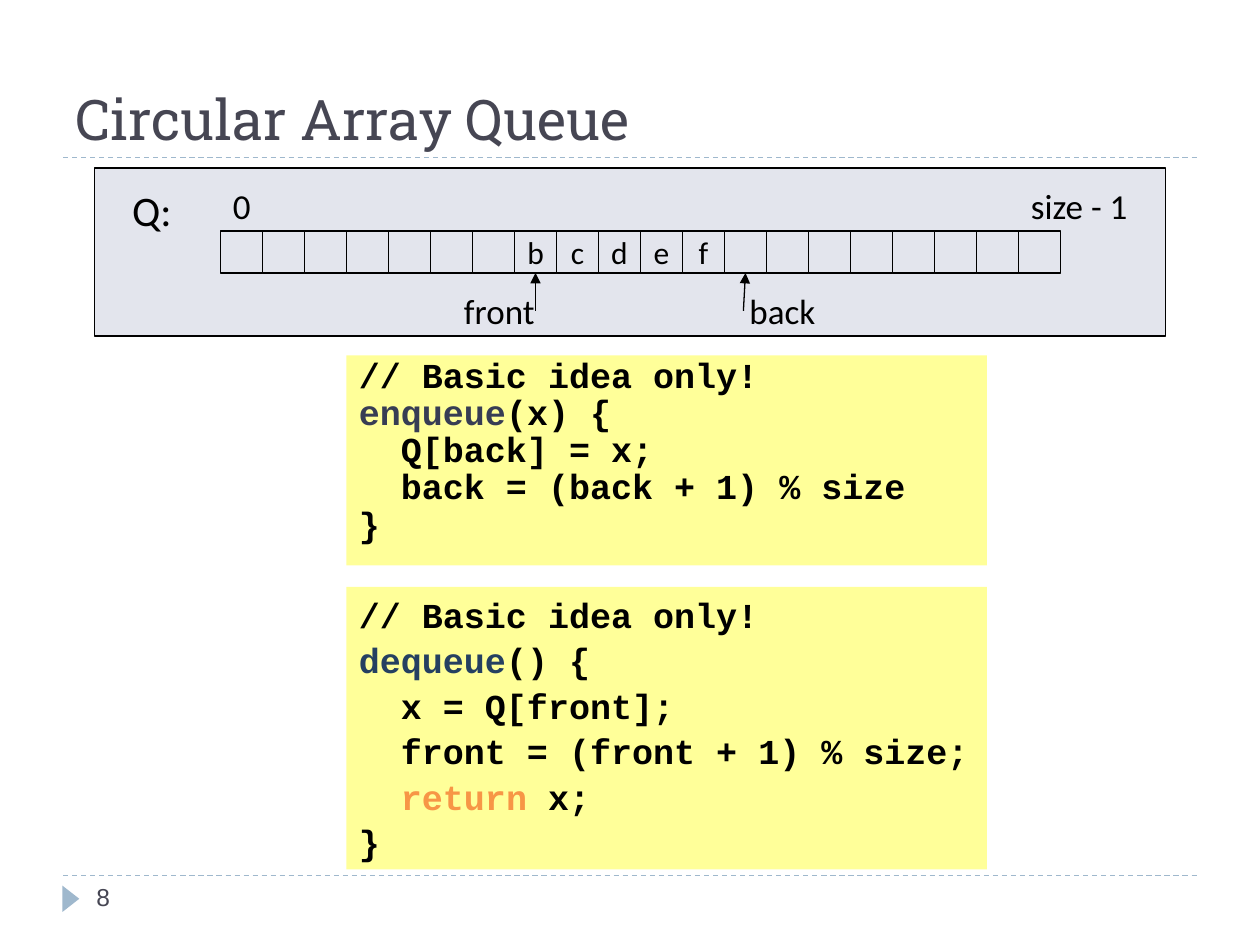
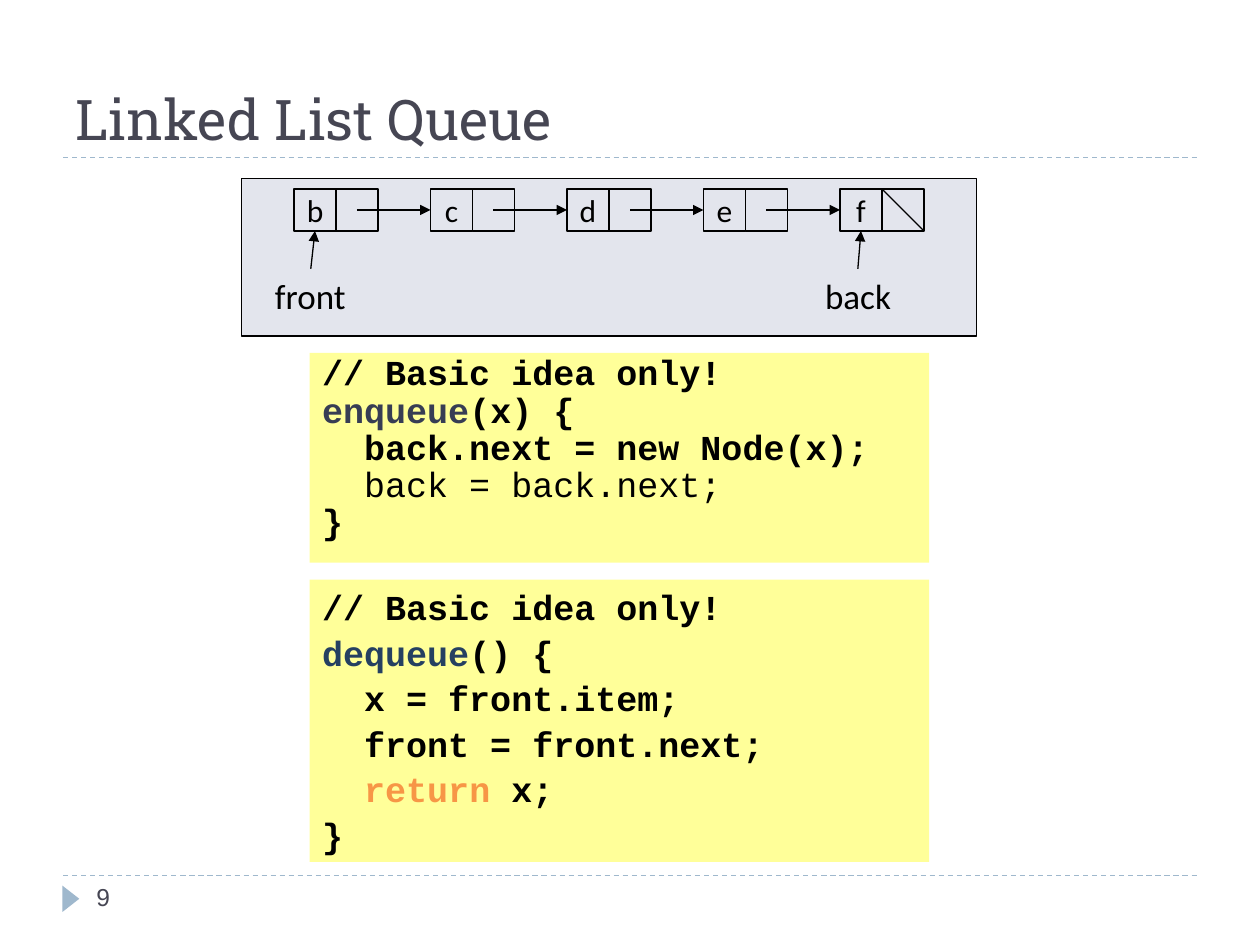
from pptx import Presentation
from pptx import util as u
from pptx.dml.color import RGBColor
from pptx.enum import dml, shapes, text
from pptx.oxml.ns import qn
from lxml import etree

UNIT = u.Inches(1) / 12  # the grid: 120 columns by 90 rows
CELL = 4
BLACK, INK, STEEL, PALE, YELLOW = "000000", "464653", "9FB8CD", "E3E5ED", "FFFF99"
KEYS = {"enqueue": "373D54", "dequeue": "254061", "return": "F79646"}
TITLE = dict(name="Roboto Slab", size=32, color=INK)
PAGE = dict(name="Arial", size=14, color=INK)
LABEL = dict(name="Calibri", size=20, color=BLACK)
ITEM = dict(name="Calibri", size=18, color=BLACK)
CODE = dict(name="Courier New", size=20, color=BLACK, bold=True)
hue = RGBColor.from_string

prs = Presentation()
prs.slide_width, prs.slide_height = round(120 * UNIT), round(90 * UNIT)


def box(x, y, w, h, runs=(), fill=None, line=None, kind="RECTANGLE",
        align="LEFT", anchor="TOP", wrap=False):
    """Add a shape on the grid; runs holds lines of (words, look) pairs."""
    place = [round(n * UNIT) for n in (x, y, w, h)]
    shape = sheet.shapes.add_shape(shapes.MSO_SHAPE[kind], *place)
    shape.shadow.inherit = False
    for part, tone in ((shape.fill, fill), (shape.line.fill, line)):
        if tone:
            part.solid()
            part.fore_color.rgb = hue(tone)
        else:
            part.background()
    if line:
        shape.line.width = u.Pt(0.75)
    frame = shape.text_frame
    frame.word_wrap = wrap
    frame.vertical_anchor = text.MSO_ANCHOR[anchor]
    for i, row in enumerate(runs):
        para = frame.add_paragraph() if i else frame.paragraphs[0]
        para.alignment = text.PP_ALIGN[align]
        for words, look in row:
            run = para.add_run()
            run.text = words
            for key, value in look.items():
                if key == "color":
                    run.font.color.rgb = hue(value)
                else:
                    setattr(run.font, key, u.Pt(value) if key == "size" else value)
    return shape


def wire(x1, y1, x2, y2, tone=BLACK, dash=False, arrow=False):
    """Add a thin straight line on the grid."""
    ends = [round(n * UNIT) for n in (x1, y1, x2, y2)]
    link = sheet.shapes.add_connector(shapes.MSO_CONNECTOR.STRAIGHT, *ends)
    link.line.color.rgb = hue(tone)
    link.line.width = u.Pt(0.75)
    if dash:
        link.line.dash_style = dml.MSO_LINE.DASH
    props = link._element.spPr
    if arrow:
        etree.SubElement(props.find(qn("a:ln")), qn("a:tailEnd"), type="triangle")
    etree.SubElement(props, qn("a:effectLst"))
    return link


ENQ_ARRAY = """// Basic idea only!
enqueue(x) {
  Q[back] = x;
  back = (back + 1) % size
}"""
DEQ_ARRAY = """// Basic idea only!
dequeue() {
  x = Q[front];
  front = (front + 1) % size;
  return x;
}"""
ENQ_LIST = """// Basic idea only!
enqueue(x) {
  back.next = new Node(x);
  back = back.next;
}"""
DEQ_LIST = """// Basic idea only!
dequeue() {
  x = front.item;
  front = front.next;
  return x;
}"""
LIGHT = "  back = back.next;"

# title, panel, code column (left, width), then code blocks (top, height, spacing, words)
plans = [
    ("Circular Array Queue", (9, 16, 102, 16), (33, 61),
     [(33.84, 20, 0.8, ENQ_ARRAY), (55.9, 26.9, 1, DEQ_ARRAY)]),
    ("Linked List Queue", (23, 17, 70, 15), (29.5, 59),
     [(33.6, 20, 0.8, ENQ_LIST), (55.2, 26.9, 1, DEQ_LIST)]),
]
sheets = []
for page, (title, panel, (left, width), blocks) in enumerate(plans, 8):
    sheet = prs.slides.add_slide(prs.slide_layouts[6])
    sheets.append(sheet)
    for y in (83.4, 15):
        wire(6, y, 114, y, STEEL, dash=True)
    mark = box(5.5, 84.8, 2.5, 1.6, fill=STEEL, kind="ISOSCELES_TRIANGLE")
    mark.rotation = 90
    box(6, 2, 108, 13, [[(title, TITLE)]], anchor="BOTTOM", wrap=True)
    box(8, 83.4, 26, 4.8, [[(str(page), PAGE)]], wrap=True)
    box(*panel, fill=PALE, line=BLACK)
    for top, height, space, words in blocks:
        rows = []
        for row in words.split("\n"):
            look = dict(CODE, bold=row != LIGHT)
            key = next((k for k in KEYS if k in row), None)
            if key:
                head, key, tail = row.partition(key)
                parts = [(head, look), (key, dict(look, color=KEYS[key])), (tail, look)]
            else:
                parts = [(row, look)]
            rows.append([part for part in parts if part[0]])
        block = box(left, top, width, height, rows, fill=YELLOW, wrap=True)
        for i, para in enumerate(block.text_frame.paragraphs):
            para.line_spacing = space
            if i:
                para.space_before = u.Pt(2)

# Circular array
sheet = sheets[0]
slots = []
for i, item in enumerate(" " * 7 + "bcdef" + " " * 8):
    runs = [[(item, ITEM)]] if item.strip() else ()
    slots.append(box(21 + CELL * i, 22, CELL, CELL, runs, line=BLACK,
                     align="CENTER", anchor="MIDDLE"))
for x, y, w, h, words, size in [
        (11.4, 17, 6.1, 6, "Q:", 24), (21, 17, 4.1, 5.3, "0", 20),
        (97, 17, 11.6, 5.3, "size - 1", 20), (43, 27, 9.2, 5.3, "front", 20),
        (70.2, 27, 8.6, 5.3, "back", 20)]:
    box(x, y, w, h, [[(words, dict(LABEL, size=size))]])
for x, slot in ((51, 7), (70.8, 12)):
    wire(x, 29.6, x, 26, arrow=True).end_connect(slots[slot], 2)

# Linked list
sheet = sheets[1]
nodes = []
for i, item in enumerate("bcdef"):
    x = 28 + 13 * i
    nodes.append(box(x, 18, CELL, CELL, [[(item, ITEM)]], line=BLACK,
                     align="CENTER", anchor="MIDDLE"))
    box(x + CELL, 18, CELL, CELL, line=BLACK)
    if i:
        wire(x - 7, 20, x, 20, arrow=True).end_connect(nodes[i], 1)
wire(84, 18, 88, 22)
for x, w, words, node in ((25, 9.2, "front", nodes[0]), (77.4, 8.6, "back", nodes[-1])):
    label = box(x, 25.6, w, 5.3, [[(words, LABEL)]])
    link = wire(x + w / 2, 25.6, x + w / 2, 22, arrow=True)
    link.begin_connect(label, 0)
    link.end_connect(node, 2)

prs.save("out.pptx")
